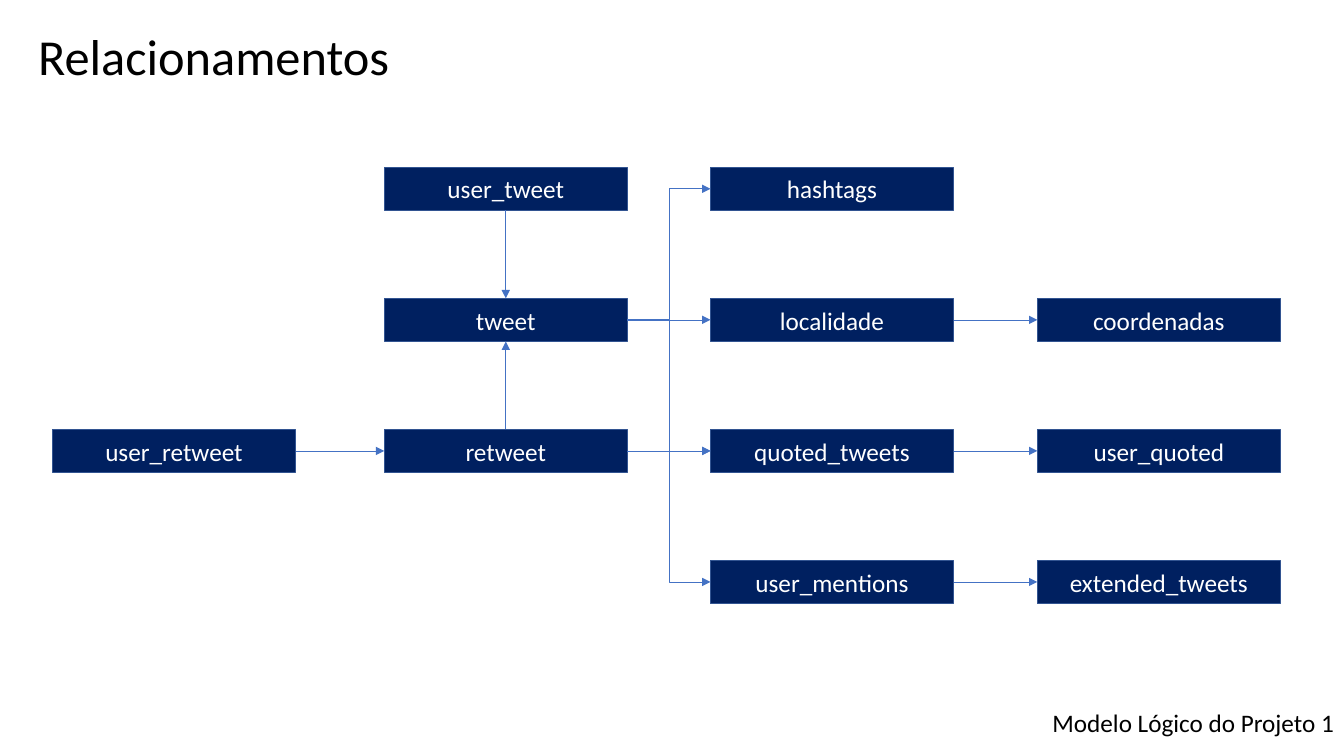
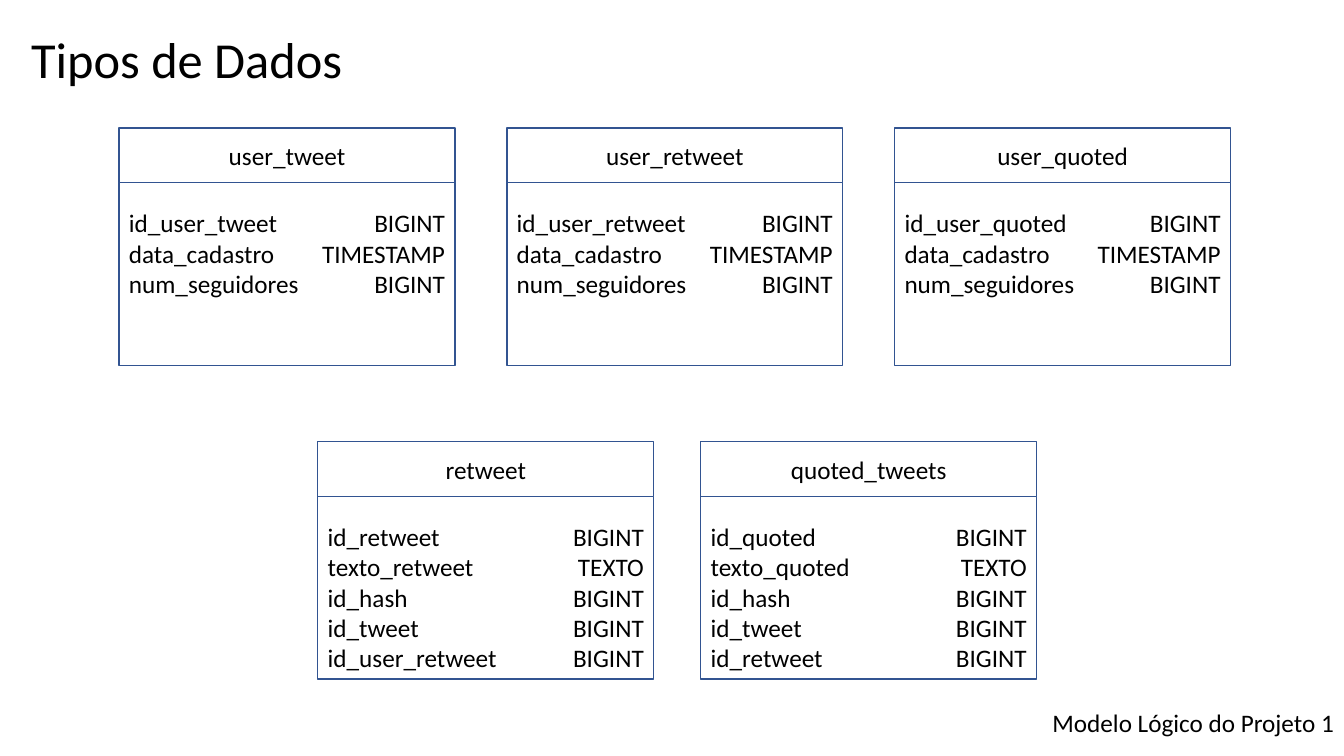
"""Builds two slides on a logical data model: its relationships and its data types."""
from pptx import Presentation
from pptx.dml.color import RGBColor
from pptx.enum.shapes import MSO_CONNECTOR as Link, MSO_SHAPE as Preset
from pptx.enum.text import MSO_ANCHOR as Anchor, MSO_AUTO_SIZE as AutoSize, PP_ALIGN as Align
from pptx.oxml.ns import qn
from pptx.util import Pt
from lxml.etree import SubElement

COLORS = {"navy": "002060", "border": "325491", "arrow": "4472C4",
          "white": "FFFFFF", "black": "000000"}
FONT = "Calibri"
FOOTER = "Modelo Lógico do Projeto 1"

TOP, LEFT, BOTTOM, RIGHT = range(4)
ENTITIES = {
    "tweet": (1, 1), "retweet": (1, 2), "user_tweet": (1, 0), "user_retweet": (0, 2),
    "quoted_tweets": (2, 2), "user_quoted": (3, 2), "localidade": (2, 1), "hashtags": (2, 0),
    "coordenadas": (3, 1), "user_mentions": (2, 3), "extended_tweets": (3, 3),
}
RELATIONS = [
    ("user_retweet", RIGHT, "retweet", LEFT),
    ("tweet", RIGHT, "localidade", LEFT),
    ("localidade", RIGHT, "coordenadas", LEFT),
    ("tweet", RIGHT, "quoted_tweets", LEFT),
    ("retweet", RIGHT, "quoted_tweets", LEFT),
    ("quoted_tweets", RIGHT, "user_quoted", LEFT),
    ("tweet", RIGHT, "user_mentions", LEFT),
    ("user_mentions", RIGHT, "extended_tweets", LEFT),
    ("tweet", RIGHT, "hashtags", LEFT),
    ("user_tweet", BOTTOM, "tweet", TOP),
    ("retweet", TOP, "tweet", BOTTOM),
]
COLUMN_LEFTS = (37.5, 274.5, 507.5, 741)
ROW_TOP, ROW_PITCH = 119.5, 93.6
ENTITY_WIDTH, ENTITY_HEIGHT = 173.6, 30.8


def user_fields(key):
    return [(key, "BIGINT"), ("data_cadastro", "TIMESTAMP"), ("num_seguidores", "BIGINT")]


def tweet_fields(key, text, parent):
    return [(key, "BIGINT"), (text, "TEXTO"), ("id_hash", "BIGINT"),
            ("id_tweet", "BIGINT"), (parent, "BIGINT")]


CARD_ROWS = [
    {"left": 85, "top": 91.5, "pitch": 277, "cards": [
        ("user_tweet", user_fields("id_user_tweet")),
        ("user_retweet", user_fields("id_user_retweet")),
        ("user_quoted", user_fields("id_user_quoted"))]},
    {"left": 227, "top": 315.5, "pitch": 273.5, "cards": [
        ("retweet", tweet_fields("id_retweet", "texto_retweet", "id_user_retweet")),
        ("quoted_tweets", tweet_fields("id_quoted", "texto_quoted", "id_retweet"))]},
]
CARD_WIDTH, HEAD_HEIGHT, BODY_HEIGHT = 240, 39, 130.5
NAME_WIDTH, FIELD_GAP = 140, 14.4


def rgb(name):
    return RGBColor.from_string(COLORS[name])


def write(frame, lines, size=18, color="black", align=Align.LEFT):
    frame.text = "\n".join(lines)
    frame.word_wrap = True
    for para in frame.paragraphs:
        para.alignment = align
        for span in para.runs:
            span.font.name, span.font.size = FONT, Pt(size)
            span.font.color.rgb = rgb(color)


def add_text(page, left, top, width, height, lines, align=Align.LEFT):
    box = page.shapes.add_textbox(Pt(left), Pt(top), Pt(width), Pt(height))
    write(box.text_frame, lines, align=align)
    return box


def add_box(page, left, top, width, height, fill, label="", color="black"):
    box = page.shapes.add_shape(Preset.RECTANGLE, Pt(left), Pt(top), Pt(width), Pt(height))
    box.shadow.inherit = False
    box.fill.solid()
    box.fill.fore_color.rgb = rgb(fill)
    box.line.color.rgb = rgb("border")
    box.line.width = Pt(1)
    if label:
        write(box.text_frame, [label], color=color, align=Align.CENTER)
        box.text_frame.vertical_anchor = Anchor.MIDDLE
    return box


def add_arrow(page, source, source_side, target, target_side):
    straight = source.top == target.top or source.left == target.left
    arrow = page.shapes.add_connector(Link.STRAIGHT if straight else Link.ELBOW, 0, 0, 0, 0)
    arrow.begin_connect(source, source_side)
    arrow.end_connect(target, target_side)
    arrow.line.color.rgb = rgb("arrow")
    arrow.line.width = Pt(0.5)
    SubElement(arrow.line._get_or_add_ln(), qn("a:tailEnd"), type="triangle")
    SubElement(arrow._element.spPr, qn("a:effectLst"))


def add_page(deck, title, left, top):
    page = deck.slides.add_slide(deck.slide_layouts[5])
    box = page.shapes.title
    box.left, box.top, box.width, box.height = Pt(left), Pt(top), Pt(320), Pt(51)
    write(box.text_frame, [title], size=36)
    box.text_frame.auto_size = AutoSize.NONE
    box.text_frame.vertical_anchor = Anchor.TOP
    add_text(page, 384, 502, 576, 29, [FOOTER], Align.RIGHT)
    return page


def add_card(page, left, top, name, fields):
    body_top = top + HEAD_HEIGHT
    add_box(page, left, top, CARD_WIDTH, HEAD_HEIGHT, "white", name)
    add_box(page, left, body_top, CARD_WIDTH, BODY_HEIGHT, "white")
    names, types = zip(*fields)
    field_top, height = body_top + FIELD_GAP, BODY_HEIGHT - FIELD_GAP
    name_box = add_text(page, left, field_top, NAME_WIDTH, height, names)
    name_box.text_frame.margin_right = 0
    type_box = add_text(page, left + NAME_WIDTH, field_top, CARD_WIDTH - NAME_WIDTH, height,
                        types, Align.RIGHT)
    type_box.text_frame.margin_left = 0


def build_relations(deck):
    page = add_page(deck, "Relacionamentos", 20, 14.5)
    boxes = {name: add_box(page, COLUMN_LEFTS[column], ROW_TOP + row * ROW_PITCH,
                           ENTITY_WIDTH, ENTITY_HEIGHT, "navy", name, "white")
             for name, (column, row) in ENTITIES.items()}
    for source, source_side, target, target_side in RELATIONS:
        add_arrow(page, boxes[source], source_side, boxes[target], target_side)


def build_types(deck):
    page = add_page(deck, "Tipos de Dados", 15, 16.5)
    for row in CARD_ROWS:
        for index, (name, fields) in enumerate(row["cards"]):
            add_card(page, row["left"] + index * row["pitch"], row["top"], name, fields)


def main():
    deck = Presentation()
    deck.slide_width, deck.slide_height = Pt(960), Pt(540)
    build_relations(deck)
    build_types(deck)
    deck.save("out.pptx")


if __name__ == "__main__":
    main()
